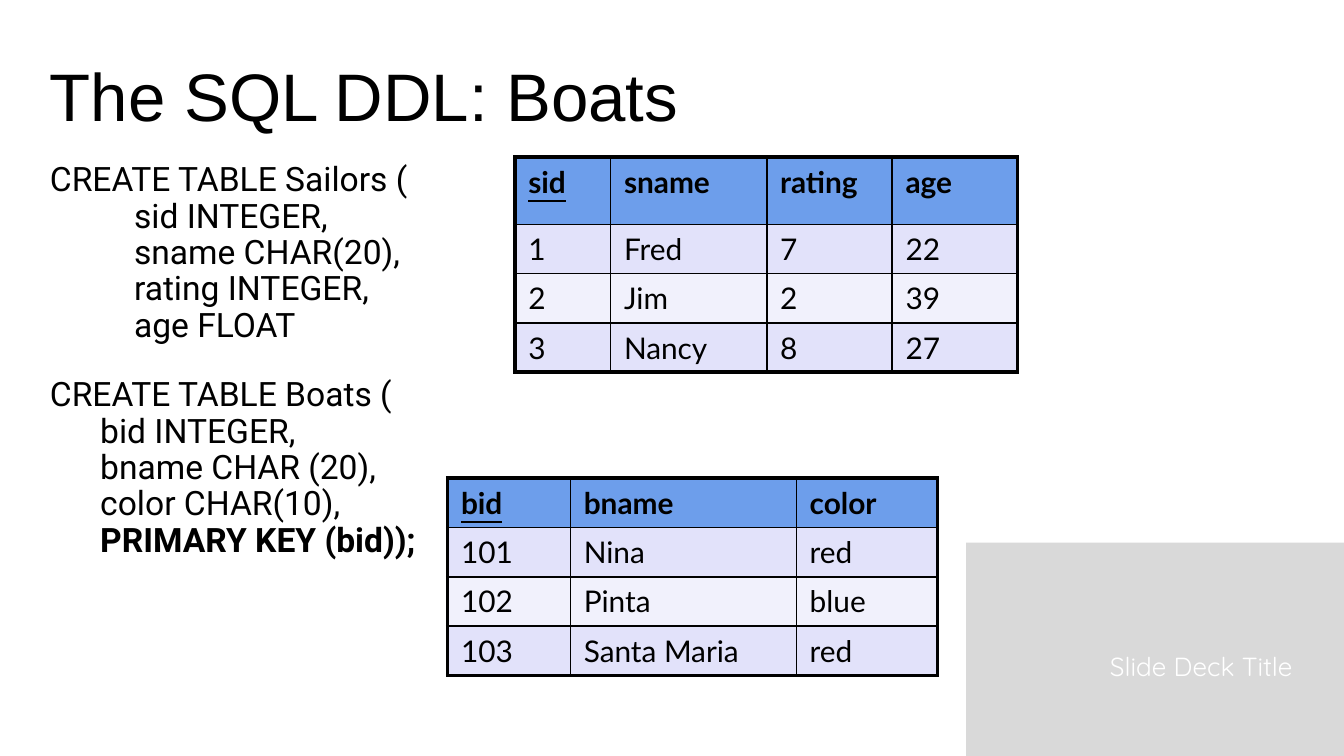
from lxml.etree import SubElement
from pptx import Presentation
from pptx.dml.color import RGBColor
from pptx.enum.shapes import MSO_SHAPE
from pptx.enum.text import MSO_ANCHOR, MSO_AUTO_SIZE, PP_ALIGN
from pptx.oxml import parse_xml
from pptx.oxml.ns import nsdecls, qn
from pptx.util import Cm, Pt

COLORS = {
    "text": "000000",
    "border": "000000",
    "header": "6D9EEB",
    "odd": "E2E2FA",
    "even": "F1F1FC",
    "panel": "D9D9D9",
    "footer": "FFFFFF",
}

# Statement lines: text, left margin (cm), first-line indent (cm), space before (pt), bold
STATEMENTS = [
    ("CREATE TABLE Sailors (", 0.95, -0.95, 0, False),
    ("sid INTEGER,", 2.54, -0.95, 0, False),
    ("sname CHAR(20),", 2.54, -0.95, 0, False),
    ("rating INTEGER,", 2.54, -0.95, 0, False),
    ("age FLOAT", 2.54, -0.95, 0, False),
    ("CREATE TABLE Boats (", 0, 0, 18, False),
    ("bid INTEGER,", 0.95, 0, 0, False),
    ("bname CHAR (20),", 0.95, 0, 0, False),
    ("color CHAR(10),", 0.95, 0, 0, False),
    ("PRIMARY KEY (bid));", 0.95, 0, 0, True),
]

BOATS = [
    ("bid", "bname", "color"),
    ("101", "Nina", "red"),
    ("102", "Pinta", "blue"),
    ("103", "Santa Maria", "red"),
]

SAILORS = [
    ("sid", "sname", "rating", "age"),
    ("1", "Fred", "7", "22"),
    ("2", "Jim", "2", "39"),
    ("3", "Nancy", "8", "27"),
]


def color(name):
    return RGBColor.from_string(COLORS[name])


def place(sp, left, top, width, height):
    sp.left, sp.top, sp.width, sp.height = Cm(left), Cm(top), Cm(width), Cm(height)


def add_run(p, text, font, size, fill="text", bold=False, underline=False):
    r = p.add_run()
    r.text = text
    r.font.name = font
    r.font.size = Pt(size)
    r.font.bold = bold
    r.font.underline = underline
    r.font.color.rgb = color(fill)


def set_frame(tf, anchor):
    tf.word_wrap = True
    tf.auto_size = MSO_AUTO_SIZE.NONE
    tf.vertical_anchor = anchor


def add_title(s, text):
    sp = s.shapes.title
    place(sp, 0.69, 0.86, 19.63, 1.85)
    set_frame(sp.text_frame, MSO_ANCHOR.MIDDLE)
    p = sp.text_frame.paragraphs[0]
    p.alignment = PP_ALIGN.LEFT
    add_run(p, text, "Arial", 36)


def add_statements(s, lines):
    sp = s.placeholders[1]
    place(sp, 0.69, 2.95, 24.08, 8.59)
    tf = sp.text_frame
    set_frame(tf, MSO_ANCHOR.TOP)
    for i, (text, margin, indent, before, bold) in enumerate(lines):
        p = tf.add_paragraph() if i else tf.paragraphs[0]
        p.line_spacing = 0.9
        p.space_before = Pt(before)
        pPr = p._p.get_or_add_pPr()
        pPr.set("marL", str(Cm(margin)))
        pPr.set("indent", str(Cm(indent)))
        SubElement(pPr, qn("a:buNone"))
        add_run(p, text, "Roboto", 18, bold=bold)


def set_borders(cell, widths):
    """Widths in points, in the order left, right, top, bottom."""
    tcPr = cell._tc.get_or_add_tcPr()
    for i, (side, width) in enumerate(zip("LRTB", widths)):
        tcPr.insert(i, parse_xml(
            f'<a:ln{side} {nsdecls("a")} w="{Pt(width)}"><a:solidFill>'
            f'<a:srgbClr val="{COLORS["border"]}"/></a:solidFill></a:ln{side}>'))


def add_data_table(s, rows, left, top, col_widths, row_heights):
    n_rows, n_cols = len(rows), len(col_widths)
    table = s.shapes.add_table(n_rows, n_cols, Cm(left), Cm(top),
                               Cm(sum(col_widths)), Cm(sum(row_heights))).table
    for col, width in zip(table.columns, col_widths):
        col.width = Cm(width)
    for row, height in zip(table.rows, row_heights):
        row.height = Cm(height)
    for i, values in enumerate(rows):
        fill = "header" if i == 0 else ("odd" if i % 2 else "even")
        for j, value in enumerate(values):
            cell = table.cell(i, j)
            cell.fill.solid()
            cell.fill.fore_color.rgb = color(fill)
            # Heavy outer frame, thin inner grid
            edges = (j == 0, j == n_cols - 1, i == 0, i == n_rows - 1)
            set_borders(cell, [2.25 if edge else 1 for edge in edges])
            add_run(cell.text_frame.paragraphs[0], value, "Lato", 16,
                    bold=i == 0, underline=i == 0 and j == 0)


def add_footer(s, text):
    panel = s.shapes.add_shape(MSO_SHAPE.RECTANGLE, Cm(18.26), Cm(10.26), Cm(7.14), Cm(4.03))
    panel.shadow.inherit = False
    panel.fill.solid()
    panel.fill.fore_color.rgb = color("panel")
    panel.line.fill.background()
    tf = s.shapes.add_textbox(Cm(12.95), Cm(12.17), Cm(11.73), Cm(0.86)).text_frame
    tf.word_wrap = True
    p = tf.paragraphs[0]
    p.alignment = PP_ALIGN.RIGHT
    add_run(p, text, "Quicksand", 14, "footer")


def main():
    prs = Presentation()
    prs.slide_width, prs.slide_height = Cm(25.4), Cm(14.29)
    s = prs.slides.add_slide(prs.slide_layouts[1])

    # Corner panel with the deck title
    add_footer(s, "Slide Deck Title")

    # Heading and SQL statements
    add_title(s, "The SQL DDL: Boats")
    add_statements(s, STATEMENTS)

    # Example data
    add_data_table(s, BOATS, 8.46, 9.04, [2.32, 4.27, 2.67], [0.93] * 4)
    add_data_table(s, SAILORS, 9.73, 2.97, [1.81, 2.95, 2.37, 2.37], [1.27] + [0.93] * 3)

    prs.save("out.pptx")


main()
